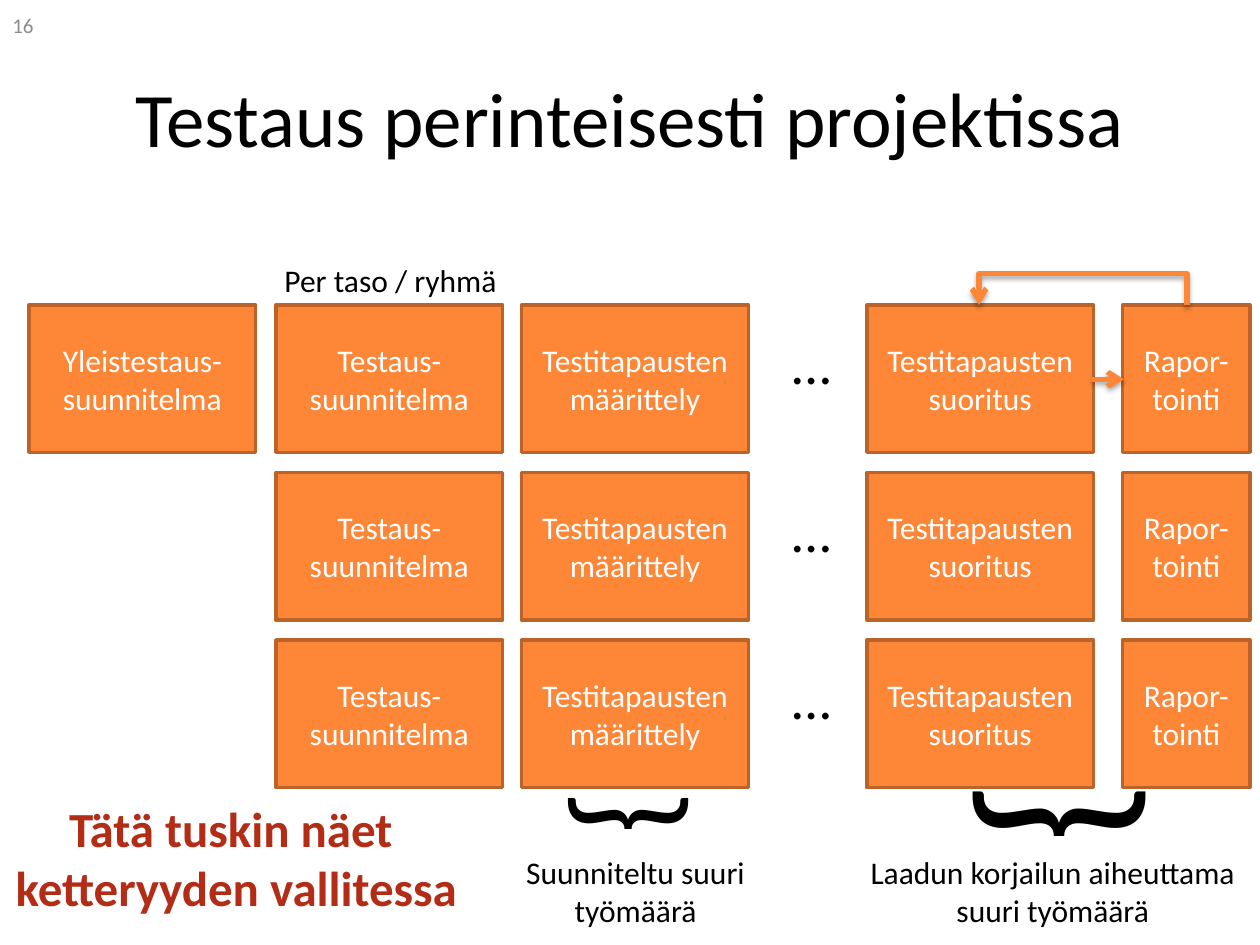
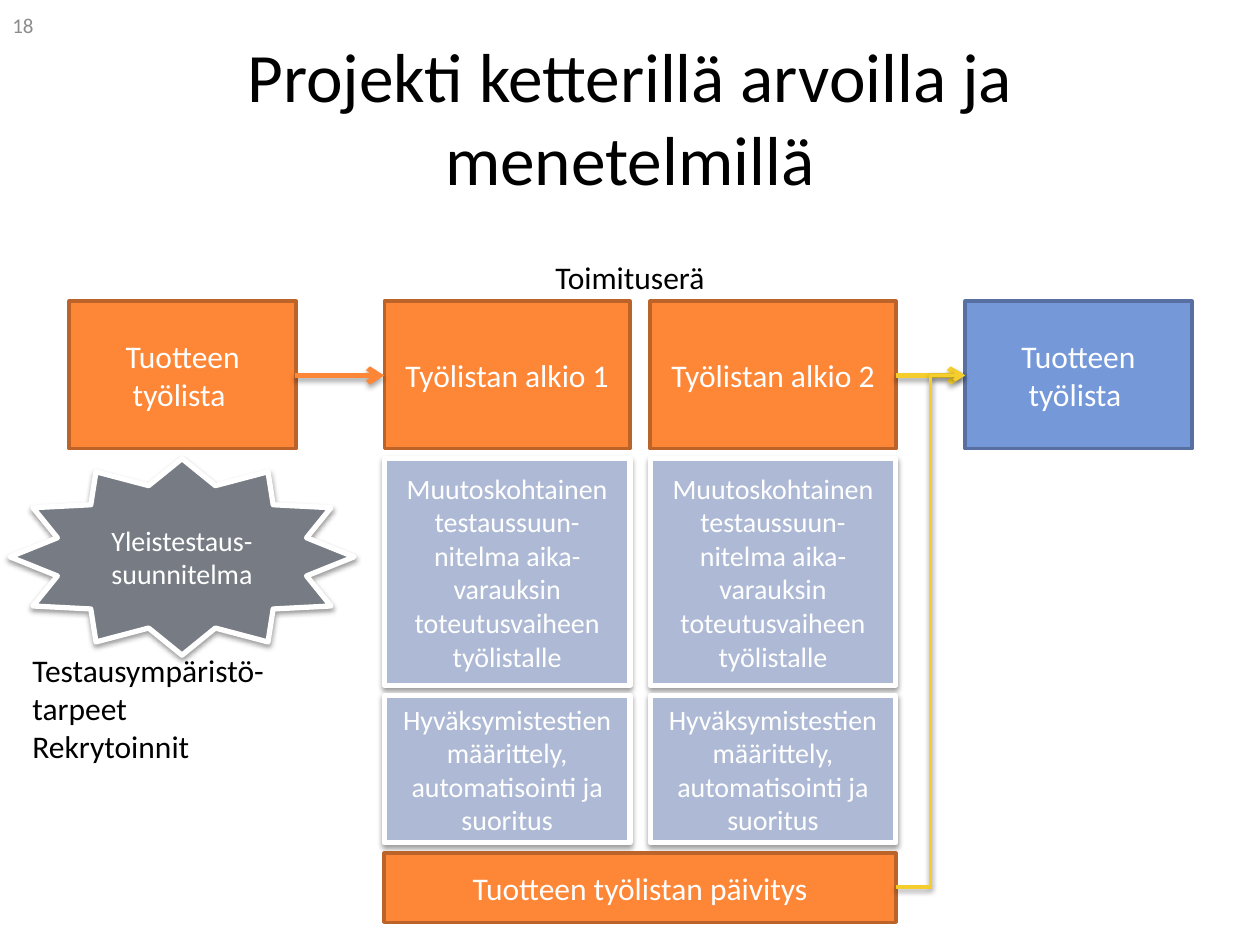
from dataclasses import dataclass
from typing import Optional

import pptx
import pptx.dml.color
import pptx.enum.dml
import pptx.enum.shapes
import pptx.enum.text
import pptx.oxml.ns
import pptx.slide
import pptx.util
from lxml import etree
from pptx.util import Inches

FONT = "Calibri"
HUES = {
    "black": "000000", "white": "FFFFFF", "grey": "8C8C8C", "red": "B32C16",
    "orange": "FE8637", "rust": "BC6329", "blue": "7598D9", "navy": "5770A1",
    "pale": "AEBAD5", "slate": "777C84", "yellow": "F5CD2D",
}
KIND = pptx.enum.shapes.MSO_SHAPE
LINK = pptx.enum.shapes.MSO_CONNECTOR
ALIGN = pptx.enum.text.PP_ALIGN
ANCHOR = pptx.enum.text.MSO_ANCHOR


@dataclass(frozen=True)
class Shade:
    alpha: int
    dist: float


@dataclass(frozen=True)
class Look:
    fill: str
    edge: str
    width: float = 2
    size: float = 18
    shade: Optional[Shade] = None


@dataclass(frozen=True)
class Box:
    x: float
    y: float
    w: float
    h: float
    text: str
    look: Look
    kind: int = KIND.RECTANGLE


@dataclass(frozen=True)
class Label:
    x: float
    y: float
    w: float
    h: float
    text: str
    size: float = 18
    hue: str = "black"
    bold: bool = False
    align: int = ALIGN.CENTER
    anchor: int = ANCHOR.TOP
    turn: float = 0


@dataclass(frozen=True)
class Arrow:
    start: tuple[float, float]
    end: tuple[float, float]
    hue: str
    width: float = 3
    kind: int = LINK.STRAIGHT


SOFT = Shade(38, 1.6)
DEEP = Shade(35, 1.8)
TASK = Look("orange", "rust")
NEXT = Look("blue", "navy")
NOTE = Look("pale", "white", 3, 16, SOFT)
BURST = Look("slate", "white", 3, 16, SOFT)


def tint(name: str) -> pptx.dml.color.RGBColor:
    return pptx.dml.color.RGBColor.from_string(HUES[name])


def add_node(root, tag: str, **attrs):
    node = etree.SubElement(root, pptx.oxml.ns.qn(tag))
    for key, value in attrs.items():
        node.set(key, str(value))
    return node


def cast(item, shade: Optional[Shade]) -> None:
    """Replace the theme shadow; call after the line is set."""
    group = add_node(item._element.spPr, "a:effectLst")
    if shade:
        outer = add_node(group, "a:outerShdw", blurRad=pptx.util.Pt(3.1),
                         dist=pptx.util.Pt(shade.dist), dir=5400000, rotWithShape=0)
        color = add_node(outer, "a:srgbClr", val=HUES["black"])
        add_node(color, "a:alpha", val=shade.alpha * 1000)


def write(frame, text: str, size: float, hue: str, bold: bool = False,
          align: int = ALIGN.CENTER, anchor: int = ANCHOR.MIDDLE) -> None:
    frame.word_wrap = True
    frame.vertical_anchor = anchor
    frame.text = text
    for para in frame.paragraphs:
        para.alignment = align
        font = para.font
        font.name, font.size, font.bold = FONT, pptx.util.Pt(size), bold
        font.color.rgb = tint(hue)


def draw_box(slide: pptx.slide.Slide, box: Box) -> None:
    look = box.look
    shape = slide.shapes.add_shape(box.kind, Inches(box.x), Inches(box.y),
                                   Inches(box.w), Inches(box.h))
    shape.fill.solid()
    shape.fill.fore_color.rgb = tint(look.fill)
    shape.line.color.rgb = tint(look.edge)
    shape.line.width = pptx.util.Pt(look.width)
    cast(shape, look.shade)
    write(shape.text_frame, box.text, look.size, "white")


def draw_label(slide: pptx.slide.Slide, label: Label) -> None:
    shape = slide.shapes.add_textbox(Inches(label.x), Inches(label.y),
                                     Inches(label.w), Inches(label.h))
    shape.rotation = label.turn
    write(shape.text_frame, label.text, label.size, label.hue, label.bold,
          label.align, label.anchor)


def point(item, hue: str, width: float, shade: Shade) -> None:
    """Style a line that ends in an open arrowhead."""
    item.line.color.rgb = tint(hue)
    item.line.width = pptx.util.Pt(width)
    add_node(item.line._get_or_add_ln(), "a:tailEnd", type="arrow")
    cast(item, shade)


def draw_arrow(slide: pptx.slide.Slide, arrow: Arrow) -> None:
    ends = [Inches(v) for v in arrow.start + arrow.end]
    line = slide.shapes.add_connector(arrow.kind, *ends)
    point(line, arrow.hue, arrow.width, DEEP if arrow.width == 3 else SOFT)


def draw_loop(slide: pptx.slide.Slide, right: float, left: float,
              base: float, top: float) -> None:
    pen = slide.shapes.build_freeform(Inches(right), Inches(base))
    pen.add_line_segments([(Inches(right), Inches(top)), (Inches(left), Inches(top)),
                           (Inches(left), Inches(base))], close=False)
    loop = pen.convert_to_shape()
    loop.fill.background()
    point(loop, "orange", 3, DEEP)


def start(deck, title: str, size: float, page: str) -> pptx.slide.Slide:
    slide = deck.slides.add_slide(deck.slide_layouts[6])
    draw_label(slide, Label(0.5, 0.3, 9, 1.25, title, size, anchor=ANCHOR.MIDDLE))
    draw_label(slide, Label(0, 0, 2.33, 0.4, page, 12, "grey",
                            align=ALIGN.LEFT, anchor=ANCHOR.MIDDLE))
    return slide


def build_old(deck) -> None:
    slide = start(deck, "Testaus perinteisesti projektissa", 44, "16")
    top, step, high = 2.42, 1.33, 1.17

    # Test phases, one row per level
    draw_box(slide, Box(0.23, top, 1.8, high, "Yleistestaus-suunnitelma", TASK))
    phases = [
        (2.19, 1.8, "Testaus-suunnitelma"),
        (4.14, 1.8, "Testitapausten määrittely"),
        (6.88, 1.8, "Testitapausten suoritus"),
        (8.91, 1.01, "Rapor-tointi"),
    ]
    for row in range(3):
        y = top + row * step
        for x, wide, text in phases:
            draw_box(slide, Box(x, y, wide, high, text, TASK))
        draw_label(slide, Label(5.7, y + 0.14, 1.48, 0.64, "…", 32))

    # Captions and braces
    for label in (
        Label(2.03, 2.02, 2.14, 0.4, "Per taso / ryhmä"),
        Label(3.91, 6.72, 2.27, 0.71, "Suunniteltu suuri työmäärä"),
        Label(6.56, 6.72, 3.59, 0.71, "Laadun korjailun aiheuttama suuri työmäärä"),
        Label(4.67, 5.88, 0.86, 1.45, "}", 80, align=ALIGN.LEFT, turn=90),
        Label(8.14, 5.51, 0.86, 2.04, "}", 115, align=ALIGN.LEFT, turn=90),
        Label(0, 6.29, 3.75, 1.04, "Tätä tuskin näet \vketteryyden vallitessa",
              28, "red", True),
    ):
        draw_label(slide, label)

    # Run and report cycle
    draw_loop(slide, 9.42, 7.77, top, 2.17)
    draw_arrow(slide, Arrow((8.67, 3.01), (8.92, 3.01), "orange"))


def build_new(deck) -> None:
    slide = start(deck, "Projekti ketterillä arvoilla ja menetelmillä", 39.6, "18")
    top, high, wide = 2.39, 1.17, 1.95

    # Backlog before and after
    for x, look in ((0.55, TASK), (7.66, NEXT)):
        draw_box(slide, Box(x, top, 1.8, high, "Tuotteen työlista ", look))
    draw_box(slide, Box(0.08, 3.64, 2.73, 1.56, "Yleistestaus-suunnitelma", BURST,
                        KIND.STAR_12_POINT))

    # Delivery batch: one column per item
    for num, x in enumerate((3.05, 5.16), 1):
        draw_box(slide, Box(x, top, wide, high, f"Työlistan alkio {num}", TASK))
        draw_box(slide, Box(x, 3.64, wide, 1.8, "Muutoskohtainen testaussuun-nitelma "
                            "aika-varauksin toteutusvaiheen työlistalle", NOTE))
        draw_box(slide, Box(x, 5.52, wide, high, "Hyväksymistestien määrittely, "
                            "automatisointi ja suoritus", NOTE))
    draw_box(slide, Box(3.05, 6.77, 4.06, 0.55, "Tuotteen työlistan päivitys", TASK))

    # Captions
    draw_label(slide, Label(3.75, 2, 2.5, 0.4, "Toimituserä"))
    draw_label(slide, Label(0.16, 5.12, 2.97, 1.01,
                            "Testausympäristö-\vtarpeet\nRekrytoinnit", align=ALIGN.LEFT))

    # Flow
    mid = 2.98
    for arrow in (
        Arrow((2.34, mid), (3.05, mid), "orange"),
        Arrow((7.11, mid), (7.66, mid), "yellow"),
        Arrow((7.11, 7.04), (7.66, mid), "yellow", 2, LINK.ELBOW),
    ):
        draw_arrow(slide, arrow)


def main() -> None:
    deck = pptx.Presentation()
    deck.slide_width, deck.slide_height = Inches(10), Inches(7.5)
    build_old(deck)
    build_new(deck)
    deck.save("out.pptx")


if __name__ == "__main__":
    main()
